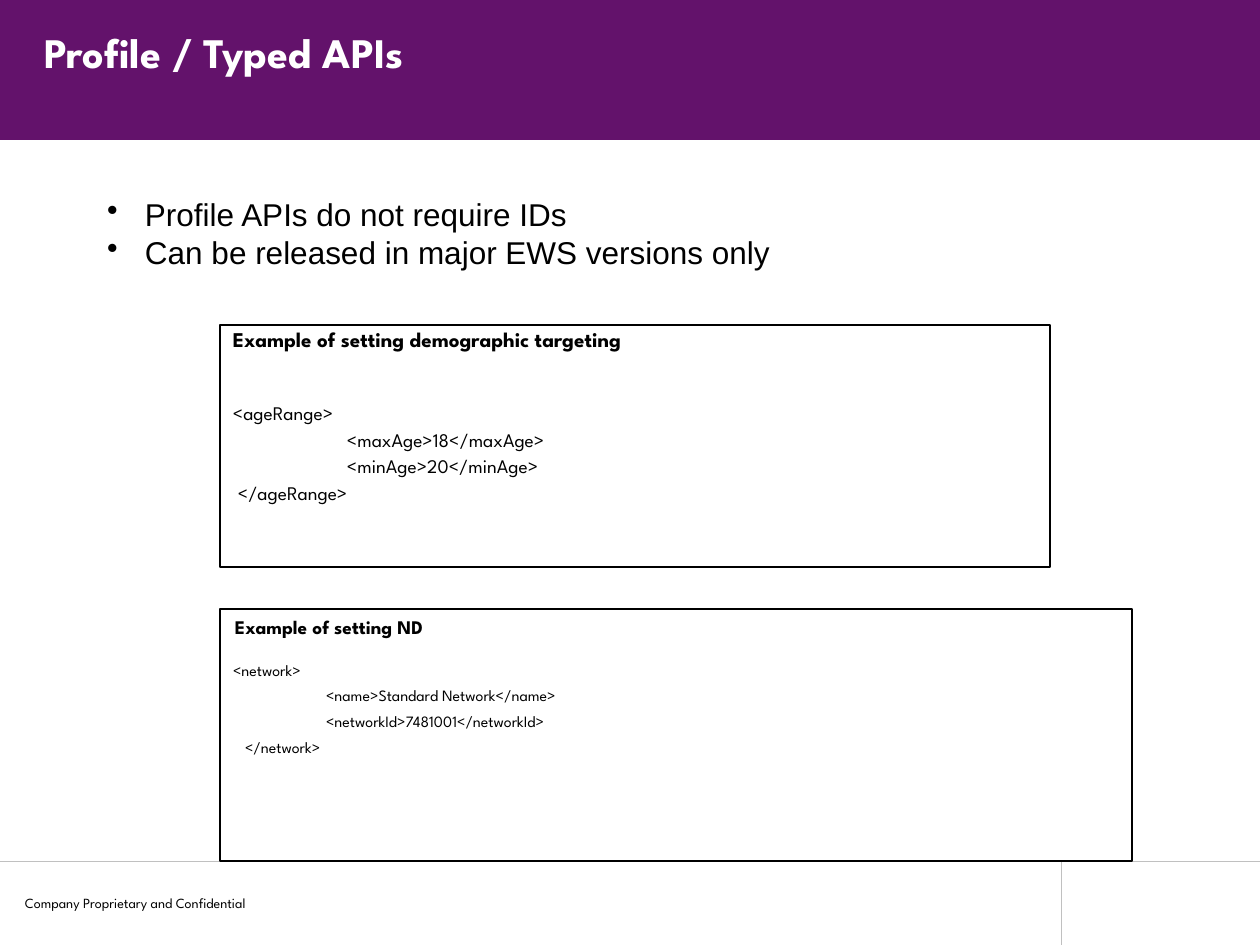
import pptx
import pptx.util
import pptx.dml.color
import pptx.enum.shapes
import pptx.enum.text
from lxml import etree

# Content
TITLE = "Profile / Typed APIs"
FOOT = "Company Proprietary and Confidential"
POINTS = ["Profile APIs do not require IDs",
          "Can be released in major EWS versions only"]
# Code boxes: area in px, sizes and gaps in pt, lines as (indent px, text)
BOXES = [
    dict(area=(220, 325, 830, 242), head="Example of setting demographic targeting",
         shift=0, top=5.2, big=12, small=11, lead=0.8, first=31, gap=4.8,
         code=[(0, "<ageRange>"), (114, "<maxAge>18</maxAge>"),
               (114, "<minAge>20</minAge>"), (5, "</ageRange>")]),
    dict(area=(220, 609, 912, 252), head="Example of setting ND",
         shift=2, top=4.8, big=11, small=9, lead=1, first=12.7, gap=3.9,
         code=[(0, "<network>"), (93, "<name>Standard Network</name>"),
               (93, "<networkId>7481001</networkId>"), (12, "</network>")]),
]
WIDE, HIGH = 1260, 945
PURPLE, GREY, BLACK, WHITE = "63126B", "C0C0C0", "000000", "FFFFFF"
FONT = "League Spartan"
ANCHOR = pptx.enum.text.MSO_ANCHOR
RECT = pptx.enum.shapes.MSO_SHAPE.RECTANGLE


def px(n):
    return pptx.util.Emu(round(n * 914400 / 126))


def color(code):
    return pptx.dml.color.RGBColor.from_string(code)


def draw_box(area, fill=None, line=None):
    shape = slide.shapes.add_shape(RECT, *map(px, area))
    shape.shadow.inherit = False
    if fill:
        shape.fill.solid()
        shape.fill.fore_color.rgb = color(fill)
    else:
        shape.fill.background()
    if line:
        shape.line.color.rgb = color(line)
        shape.line.width = pptx.util.Pt(0.75)
    else:
        shape.line.fill.background()
    return shape


def draw_line(*ends):
    line = slide.shapes.add_connector(
        pptx.enum.shapes.MSO_CONNECTOR.STRAIGHT, *map(px, ends))
    line.line.color.rgb = color(GREY)
    line.line.width = pptx.util.Pt(0.25)
    etree.SubElement(line._element.spPr, pptx.oxml.ns.qn("a:effectLst"))


def set_frame(shape, anchor=ANCHOR.TOP, pad=(13, 6, 13, 6), wrap=True):
    frame = shape.text_frame
    frame.word_wrap = wrap
    frame.vertical_anchor = anchor
    (frame.margin_left, frame.margin_top,
     frame.margin_right, frame.margin_bottom) = map(px, pad)
    return frame


def text_box(area, **form):
    return set_frame(slide.shapes.add_textbox(*map(px, area)), **form)


def add_text(frame, text, size, font=FONT, ink=BLACK, bold=False,
             left=0, before=0, lead=1, bullet=False):
    para = frame.paragraphs[0]
    if para.runs:
        para = frame.add_paragraph()
    para.alignment = pptx.enum.text.PP_ALIGN.LEFT
    para.space_before = pptx.util.Pt(before)
    para.line_spacing = lead
    props = para._p.get_or_add_pPr()
    props.set("marL", str(px(left)))
    props.set("indent", str(px(-left if bullet else 0)))
    if bullet:
        mark = etree.SubElement(props, pptx.oxml.ns.qn("a:buChar"))
        mark.set("char", "•")
    run = para.add_run()
    run.text = text
    run.font.name = font
    run.font.size = pptx.util.Pt(size)
    run.font.bold = bold
    run.font.color.rgb = color(ink)


deck = pptx.Presentation()
deck.slide_width, deck.slide_height = px(WIDE), px(HIGH)
slide = deck.slides.add_slide(deck.slide_layouts[6])

# Banner and footer
draw_box((0, 0, WIDE, 140), fill=PURPLE)
draw_line(0, 861, WIDE, 861)
draw_line(1061, 861, 1061, HIGH)
foot = text_box((25, 895, 241, 16), anchor=ANCHOR.MIDDLE, pad=(0, 0, 0, 0), wrap=False)
add_text(foot, FOOT, 8)

# Title
title = text_box((31, 1, 1229, 125), anchor=ANCHOR.BOTTOM, pad=(13, 6, 13, 53))
add_text(title, TITLE, 24, ink=WHITE, bold=True)

# Code boxes
for box in BOXES:
    frame = set_frame(draw_box(box["area"], line=BLACK))
    add_text(frame, box["head"], box["big"], bold=True, left=box["shift"],
             before=box["top"], lead=box["lead"])
    for row, (left, text) in enumerate(box["code"]):
        add_text(frame, text, box["small"], left=left, lead=box["lead"],
                 before=box["gap"] if row else box["first"])

# Bullet points
frame = text_box((94, 189, 1103, 88))
for text in POINTS:
    add_text(frame, text, 18, font="Arial", left=38, bullet=True)

deck.save("out.pptx")
